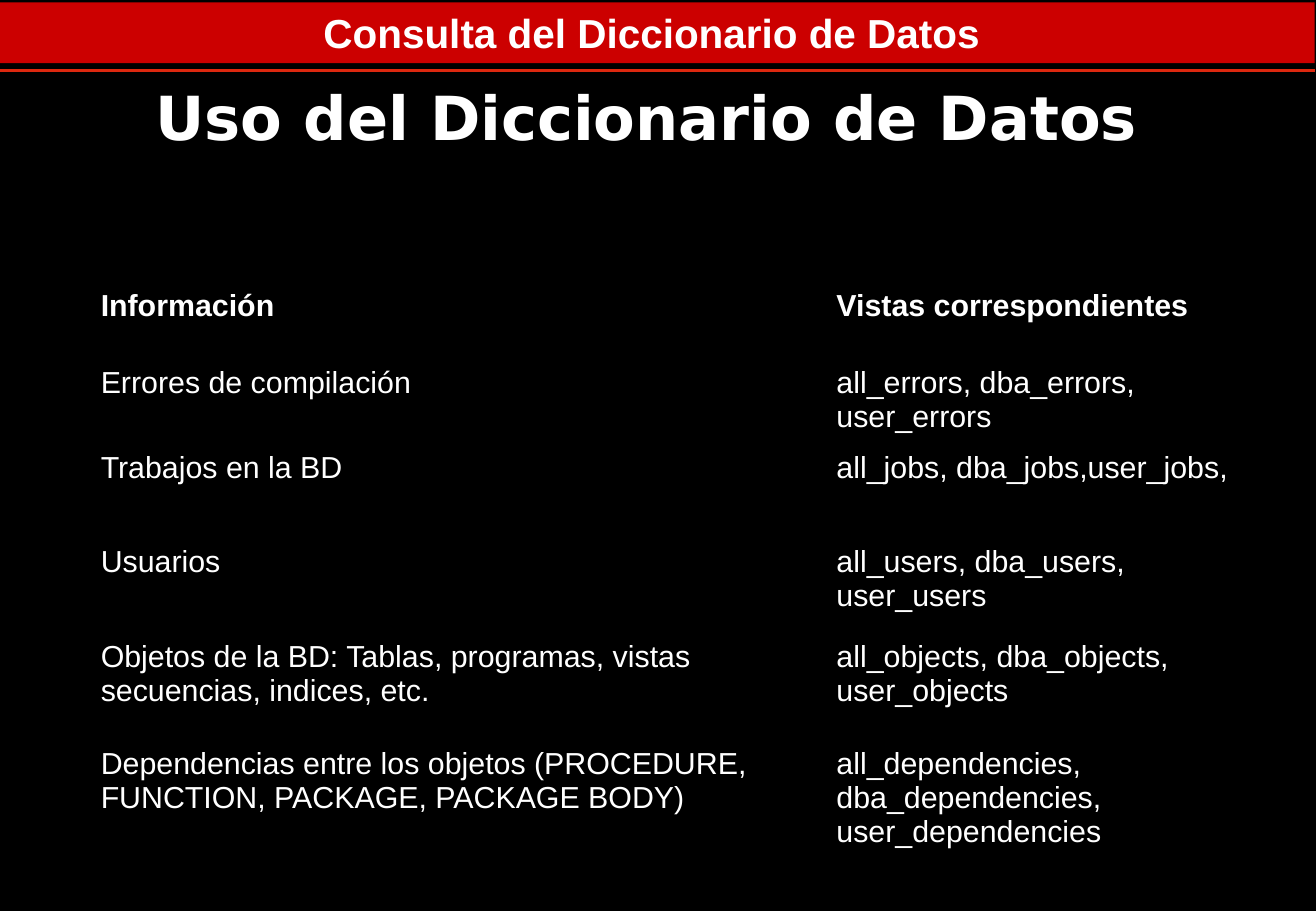
from lxml import etree
from pptx import Presentation
from pptx import util as u
from pptx.dml.color import RGBColor
from pptx.enum import shapes, text
from pptx.oxml.ns import qn

INK = {"back": "000000", "band": "CC0000", "rule": "DD280F", "text": "FFFFFF"}
WIDE, HIGH = 1084, 750
COLS = [606, 351]
ROWS = [63, 70, 78, 78, 88, 100]
VIEWS = [
    ("Información", "Vistas correspondientes"),
    ("Errores de compilación", "all_errors, dba_errors, user_errors"),
    ("Trabajos en la BD", "all_jobs, dba_jobs,user_jobs,"),
    ("Usuarios", "all_users, dba_users, user_users"),
    ("Objetos de la BD: Tablas, programas, vistas secuencias, indices, etc.",
     "all_objects, dba_objects, user_objects"),
    ("Dependencias entre los objetos (PROCEDURE, FUNCTION, PACKAGE, PACKAGE BODY)",
     "all_dependencies, dba_dependencies, user_dependencies"),
]


def px(n):
    """Turn px, 100 to the inch, into EMU."""
    return u.Emu(n * 9144)


def color(name):
    return RGBColor.from_string(INK[name])


def write(frame, words, size, name="Arial", bold=True, align=text.PP_ALIGN.LEFT):
    frame.word_wrap = True
    para = frame.paragraphs[0]
    para.alignment = align
    run = para.add_run()
    run.text = words
    for key, val in {"size": u.Pt(size), "name": name, "bold": bold}.items():
        setattr(run.font, key, val)
    run.font.color.rgb = color("text")


def edge(cell, widths):
    """Draw the left, right, top and bottom borders of a cell."""
    props = cell._tc.get_or_add_tcPr()
    for spot, (side, width) in enumerate(zip("LRTB", widths)):
        line = etree.Element(qn(f"a:ln{side}"), w=str(u.Pt(width)))
        fill = etree.SubElement(line, qn("a:solidFill"))
        etree.SubElement(fill, qn("a:srgbClr"), val=INK["back"])
        props.insert(spot, line)


def banner(slide, x, y, w, h):
    rule = slide.shapes.add_connector(
        shapes.MSO_CONNECTOR.STRAIGHT, px(x), px(y + h + 6), px(x + w), px(y + h + 6))
    rule.line.color.rgb = color("rule")
    rule.line.width = u.Pt(2.25)
    etree.SubElement(rule._element.spPr, qn("a:effectLst"))
    band = slide.shapes.add_shape(
        shapes.MSO_SHAPE.RECTANGLE, px(x), px(y), px(w), px(h))
    band.shadow.inherit = False
    band.fill.solid()
    band.fill.fore_color.rgb = color("band")
    band.line.fill.background()
    band.text_frame.vertical_anchor = text.MSO_ANCHOR.MIDDLE
    write(band.text_frame, "Consulta del Diccionario de Datos ", 24,
          align=text.PP_ALIGN.CENTER)


def title(slide, x, y, w, h):
    box = slide.shapes.add_textbox(px(x), px(y), px(w), px(h))
    box.text_frame.vertical_anchor = text.MSO_ANCHOR.MIDDLE
    write(box.text_frame, "Uso del Diccionario de Datos", 36, "DejaVu Sans",
          align=text.PP_ALIGN.CENTER)


def views(slide, x, y):
    grid = slide.shapes.add_table(
        len(ROWS), len(COLS), px(x), px(y), px(sum(COLS)), px(sum(ROWS))).table
    grid.first_row = grid.horz_banding = False
    for col, wide in zip(grid.columns, COLS):
        col.width = px(wide)
    for r, (row, high) in enumerate(zip(grid.rows, ROWS)):
        row.height = px(high)
        for c, cell in enumerate(row.cells):
            cell.margin_left = cell.margin_right = px(11)
            cell.margin_top = cell.margin_bottom = px(5)
            cell.fill.background()
            outer = (c == 0, c == len(COLS) - 1, r == 0, r == len(ROWS) - 1)
            edge(cell, [1.08 if out else 0.45 for out in outer])
            write(cell.text_frame, VIEWS[r][c], 18, bold=r == 0)


def main():
    deck = Presentation()
    deck.slide_width, deck.slide_height = px(WIDE), px(HIGH)
    slide = deck.slides.add_slide(deck.slide_layouts[6])
    slide.background.fill.solid()
    slide.background.fill.fore_color.rgb = color("back")
    title(slide, 45, 33, 975, 125)
    views(slide, 72, 233)
    banner(slide, 0, 2, WIDE - 1, 50)
    deck.save("out.pptx")


if __name__ == "__main__":
    main()
